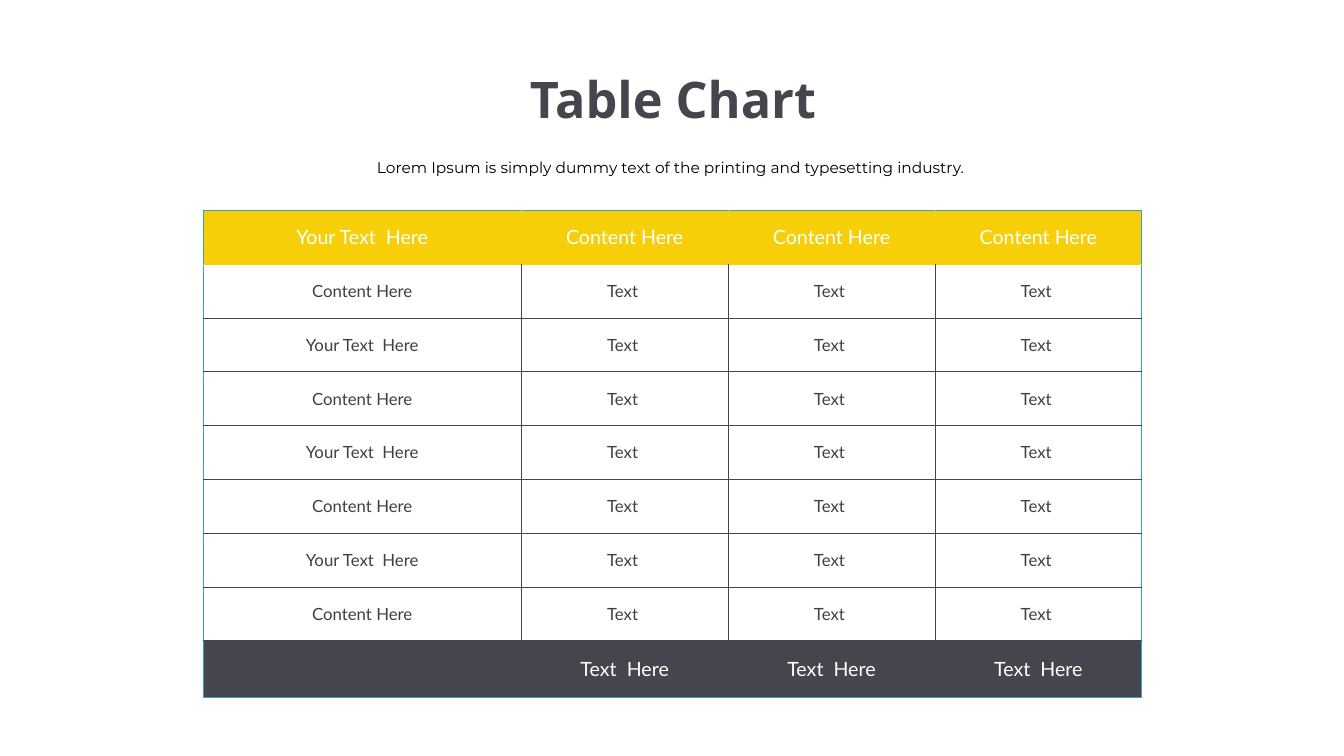
"""Build the table chart slide."""
from dataclasses import dataclass

from lxml.etree import SubElement as Sub
from pptx import Presentation
from pptx.dml.color import RGBColor as Rgb
from pptx.enum.text import MSO_ANCHOR as Anchor, MSO_AUTO_SIZE as Fit, PP_ALIGN as Align
from pptx.oxml.ns import qn
from pptx.util import Pt

TITLE = "Table Chart"
INTRO = "Lorem Ipsum is simply dummy text of the printing and typesetting industry. "
HEAD = ["Your Text  Here"] + ["Content Here"] * 3
LABELS = ["Content Here", "Your Text  Here"] * 3 + ["Content Here"]
FOOT = [""] + ["Text  Here"] * 3
ROWS = [HEAD, *([label] + ["Text "] * 3 for label in LABELS), FOOT]

PX = 9080
SLIDE = (1343, 755)
TITLE_BOX = (286, 63, 773, 70)
INTRO_BOX = (336, 144, 673, 38)
TABLE_BOX = (203, 210, 938, 487)
FIRST_COL = 318
FOOT_ROW = 57


@dataclass(frozen=True)
class Theme:
    """Colours, fonts and type sizes."""
    dark: str = "45454D"
    gold: str = "F6CF08"
    blue: str = "37A1C9"
    gray: str = "404040"
    white: str = "FFFFFF"
    black: str = "000000"
    title_font: str = "Open Sans"
    intro_font: str = "Montserrat"
    cell_font: str = "Lato"
    title_size: int = 36
    intro_size: int = 11
    band_size: int = 14
    cell_size: int = 12
    rule: float = 0.45


theme = Theme()


def scale(box):
    """Turn px lengths into EMU."""
    return [round(n * PX) for n in box]


def write(frame, text, *, font, size, color, bold=False, space=1.0):
    """Put one centred, formatted paragraph in a text frame."""
    frame.word_wrap = True
    para = frame.paragraphs[0]
    para.alignment = Align.CENTER
    para.line_spacing = space
    run = para.add_run()
    run.text = text
    run.font.name = font
    run.font.size = Pt(size)
    run.font.bold = bold
    run.font.color.rgb = Rgb.from_string(color)


def edge(cell, side, color):
    """Draw one border of a cell."""
    props = cell._tc.get_or_add_tcPr()
    line = Sub(props, qn(f"a:ln{side}"), w=str(Pt(theme.rule)))
    fill = Sub(line, qn("a:solidFill"))
    Sub(fill, qn("a:srgbClr"), val=color)


def style(cell, row, col):
    """Give a cell its borders and fill by its place in the table."""
    last_row, last_col = len(ROWS) - 1, len(HEAD) - 1
    inner = theme.gold if row == 0 else theme.dark
    above = theme.gold if row == 1 else theme.dark
    edge(cell, "L", theme.blue if col == 0 else inner)
    edge(cell, "R", theme.blue if col == last_col else inner)
    edge(cell, "T", theme.blue if row == 0 else above)
    edge(cell, "B", theme.blue if row == last_row else inner)
    band = {0: theme.gold, last_row: theme.dark}.get(row)
    if band:
        cell.fill.solid()
        cell.fill.fore_color.rgb = Rgb.from_string(band)
    else:
        cell.fill.background()
    cell.vertical_anchor = Anchor.MIDDLE
    return bool(band)


def add_grid(slide):
    """Add the table with its head, body and foot rows."""
    count, wide = len(ROWS), len(HEAD)
    width, height = TABLE_BOX[2:]
    grid = slide.shapes.add_table(count, wide, *scale(TABLE_BOX)).table
    grid.first_row = grid.horz_banding = False
    other = (width - FIRST_COL) / (wide - 1)
    step = (height - FOOT_ROW) / (count - 1)
    for col, size in zip(grid.columns, scale([FIRST_COL] + [other] * (wide - 1))):
        col.width = size
    for row, size in zip(grid.rows, scale([step] * (count - 1) + [FOOT_ROW])):
        row.height = size
    for r, texts in enumerate(ROWS):
        for c, text in enumerate(texts):
            cell = grid.cell(r, c)
            band = style(cell, r, c)
            if text:
                write(cell.text_frame, text, font=theme.cell_font,
                      size=theme.band_size if band else theme.cell_size,
                      color=theme.white if band else theme.gray)


def main():
    """Build and save the slide."""
    deck = Presentation()
    deck.slide_width, deck.slide_height = scale(SLIDE)
    slide = deck.slides.add_slide(deck.slide_layouts[5])
    title = slide.shapes.title
    title.left, title.top, title.width, title.height = scale(TITLE_BOX)
    title.text_frame.auto_size = Fit.NONE
    title.text_frame.vertical_anchor = Anchor.TOP
    write(title.text_frame, TITLE, font=theme.title_font,
          size=theme.title_size, color=theme.dark, bold=True)
    intro = slide.shapes.add_textbox(*scale(INTRO_BOX))
    write(intro.text_frame, INTRO, font=theme.intro_font,
          size=theme.intro_size, color=theme.black, space=1.5)
    add_grid(slide)
    deck.save("out.pptx")


if __name__ == "__main__":
    main()
